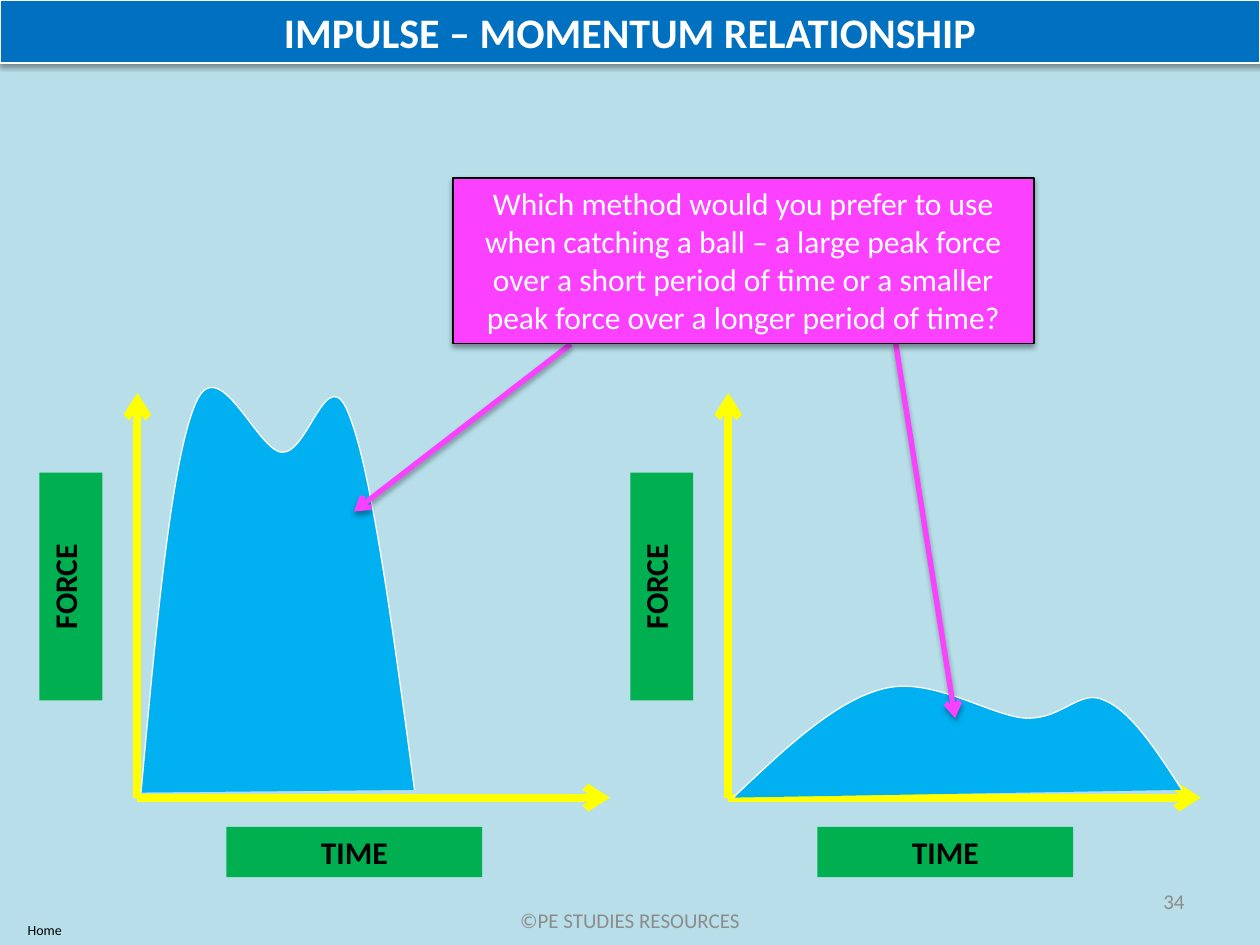
"""Build the impulse-momentum slide with two force-time graphs."""
from dataclasses import dataclass

from lxml import etree
from pptx import Presentation
from pptx import util as u
from pptx.dml.color import RGBColor
from pptx.enum import shapes, text
from pptx.oxml import ns

Pt = u.Pt
ALIGN = text.PP_ALIGN
ANCHOR = text.MSO_ANCHOR


@dataclass(frozen=True)
class Theme:
    """Colours, font and type sizes of the slide."""
    font: str = "Calibri"
    background: str = "B7DEE9"
    banner: str = "0070C0"
    label: str = "00B050"
    axis: str = "FFFF00"
    area: str = "00B0F0"
    accent: str = "FB40FF"
    black: str = "000000"
    white: str = "FFFFFF"
    grey: str = "8C8C8C"
    title: int = 24
    body: int = 18
    footer: int = 12
    small: int = 8


THEME = Theme()
GRAPH_GAP = 337.7
TALL_CURVE = [
    (80.6, 452.9), (89.3, 357.8), (97.9, 263.5), (111.6, 231.1),
    (124.6, 198.7), (146.9, 257.8), (161.3, 258.5),
    (176.4, 259.2), (187.2, 204.5), (199.4, 236.9),
    (212.4, 268.6), (224.6, 360), (236.9, 451.4),
]
LOW_CURVE = [
    (419, 455.8), (447.8, 428.4), (476.6, 401), (504, 393.8),
    (532.1, 385.9), (565.2, 409), (586.1, 410.4),
    (607.7, 411.1), (617, 393.1), (631.4, 400.3),
    (646.6, 406.8), (661, 429.1), (675.4, 451.4),
]
QUESTION = (
    "Which method would you prefer to use when catching a ball – "
    "a large peak force over a short period of time or a smaller "
    "peak force over a longer period of time?"
)


def rgb(value):
    """Turn a hex string into a colour."""
    return RGBColor.from_string(value)


def set_effects(sp, distance=0, alpha=0):
    """Replace the theme shadow by a soft downward one, or by none."""
    effects = etree.SubElement(sp._element.spPr, ns.qn("a:effectLst"))
    if distance:
        shadow = etree.SubElement(
            effects, ns.qn("a:outerShdw"), blurRad=str(Pt(3.1)),
            dist=str(Pt(distance)), dir="5400000", rotWithShape="0")
        colour = etree.SubElement(shadow, ns.qn("a:srgbClr"), val=THEME.black)
        etree.SubElement(colour, ns.qn("a:alpha"), val=str(alpha * 1000))


def paint(sp, fill, line=None, width=0.75):
    """Set a solid fill and an optional outline."""
    sp.fill.solid()
    sp.fill.fore_color.rgb = rgb(fill)
    if line:
        sp.line.color.rgb = rgb(line)
        sp.line.width = Pt(width)
    else:
        sp.line.fill.background()


def write(sp, words, size, colour, bold=False, align=ALIGN.CENTER,
          anchor=ANCHOR.TOP):
    """Write one formatted run into a shape."""
    tf = sp.text_frame
    tf.word_wrap = True
    tf.auto_size = text.MSO_AUTO_SIZE.NONE
    tf.vertical_anchor = anchor
    p = tf.paragraphs[0]
    p.alignment = align
    r = p.add_run()
    r.text = words
    r.font.name = THEME.font
    r.font.size = Pt(size)
    r.font.bold = bold
    r.font.color.rgb = rgb(colour)


def add_box(s, bounds, fill, line=None, width=0.75):
    """Add a filled rectangle."""
    sp = s.shapes.add_shape(shapes.MSO_SHAPE.RECTANGLE, *map(Pt, bounds))
    paint(sp, fill, line, width)
    return sp


def add_label(s, bounds, words, vertical=False):
    """Add a green axis label, turned upwards when vertical."""
    sp = add_box(s, bounds, THEME.label)
    set_effects(sp)
    write(sp, words, THEME.body, THEME.black, bold=True)
    if vertical:
        sp.text_frame._txBody.bodyPr.set("vert", "vert270")


def add_arrow(s, start, end, colour, width, distance=0):
    """Add a straight line with an open arrowhead at its end."""
    line = s.shapes.add_connector(
        shapes.MSO_CONNECTOR.STRAIGHT, *map(Pt, (*start, *end)))
    line.line.color.rgb = rgb(colour)
    line.line.width = Pt(width)
    etree.SubElement(line.line._get_or_add_ln(), ns.qn("a:tailEnd"),
                     type="arrow")
    set_effects(line, distance, 35)


def add_graph(s, dx):
    """Add the axes and axis labels of one graph."""
    origin = (78.5 + dx, 455.8)
    for end in ((78.5 + dx, 224.6), (348.5 + dx, 455.8)):
        add_arrow(s, origin, end, THEME.axis, 4.5)
    add_label(s, (22.5 + dx, 270, 36, 130.3), "FORCE", vertical=True)
    add_label(s, (129.4 + dx, 472.5, 146.2, 28.8), "TIME")


def round_segments(sp):
    """Join each three line segments of a freeform into one cubic curve."""
    lines = list(sp._element.iter(ns.qn("a:lnTo")))
    for first, second, third in zip(lines[::3], lines[1::3], lines[2::3]):
        first.tag = ns.qn("a:cubicBezTo")
        for line in (second, third):
            first.append(line[0])
            line.getparent().remove(line)


def add_area(s, points):
    """Add the filled area under a force curve."""
    start, *rest = [tuple(map(Pt, point)) for point in points]
    builder = s.shapes.build_freeform(*start, scale=1.0)
    builder.add_line_segments(rest, close=False)
    sp = builder.convert_to_shape()
    round_segments(sp)
    paint(sp, THEME.area, THEME.white)
    set_effects(sp)


def add_text(s, bounds, words, size, colour, **options):
    """Add a plain text box."""
    write(s.shapes.add_textbox(*map(Pt, bounds)), words, size, colour,
          **options)


def add_title(s, words):
    """Turn the title placeholder into the top banner."""
    sp = s.shapes.title
    sp.left, sp.top, sp.width, sp.height = map(Pt, (0, 0, 720, 36))
    paint(sp, THEME.banner, THEME.white)
    set_effects(sp, 1.6, 38)
    write(sp, words, THEME.title, THEME.white, bold=True,
          anchor=ANCHOR.MIDDLE)


def main():
    """Build and save the slide."""
    prs = Presentation()
    prs.slide_width, prs.slide_height = Pt(720), Pt(540)
    s = prs.slides.add_slide(prs.slide_layouts[5])
    s.background.fill.solid()
    s.background.fill.fore_color.rgb = rgb(THEME.background)
    add_title(s, "IMPULSE – MOMENTUM RELATIONSHIP")
    for i, curve in enumerate((TALL_CURVE, LOW_CURVE)):
        add_graph(s, i * GRAPH_GAP)
        add_area(s, curve)
    for start, end in (((326.2, 196.6), (202.3, 292.3)),
                       ((511.9, 196.6), (545.8, 410.4))):
        add_arrow(s, start, end, THEME.accent, 3, distance=1.8)
    callout = add_box(s, (258.8, 101.8, 331.9, 94.5), THEME.accent,
                      THEME.black, 1)
    set_effects(callout, 1.6, 38)
    write(callout, QUESTION, THEME.body, THEME.white)
    add_text(s, (246, 511.2, 228, 28.8), "©PE STUDIES RESOURCES",
             THEME.footer, THEME.grey, anchor=ANCHOR.MIDDLE)
    add_text(s, (-7.5, 523, 66.2, 17), "Home", THEME.small, THEME.black)
    add_text(s, (516, 500.5, 168, 28.8), "34", THEME.footer, THEME.grey,
             align=ALIGN.RIGHT, anchor=ANCHOR.MIDDLE)
    prs.save("out.pptx")


if __name__ == "__main__":
    main()
